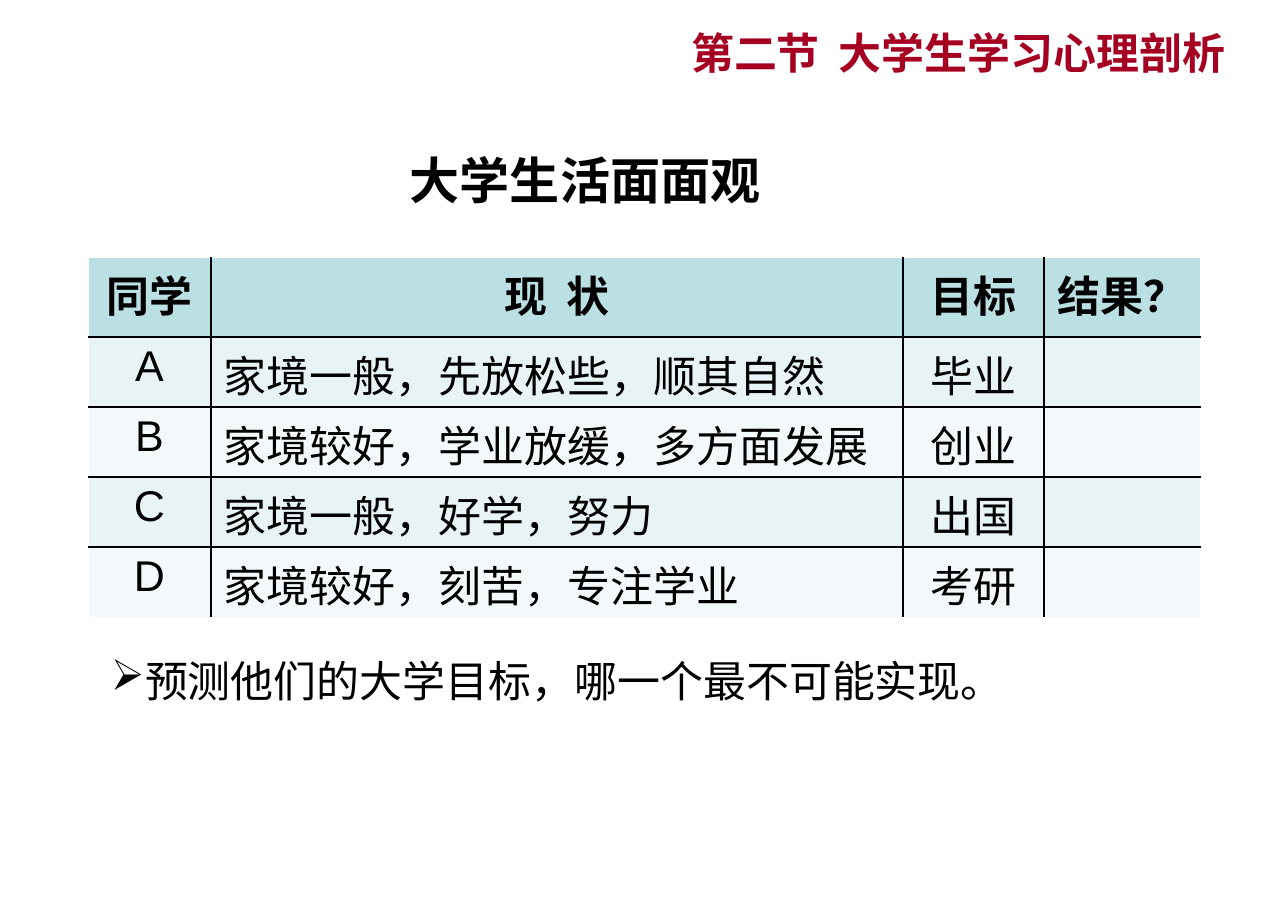
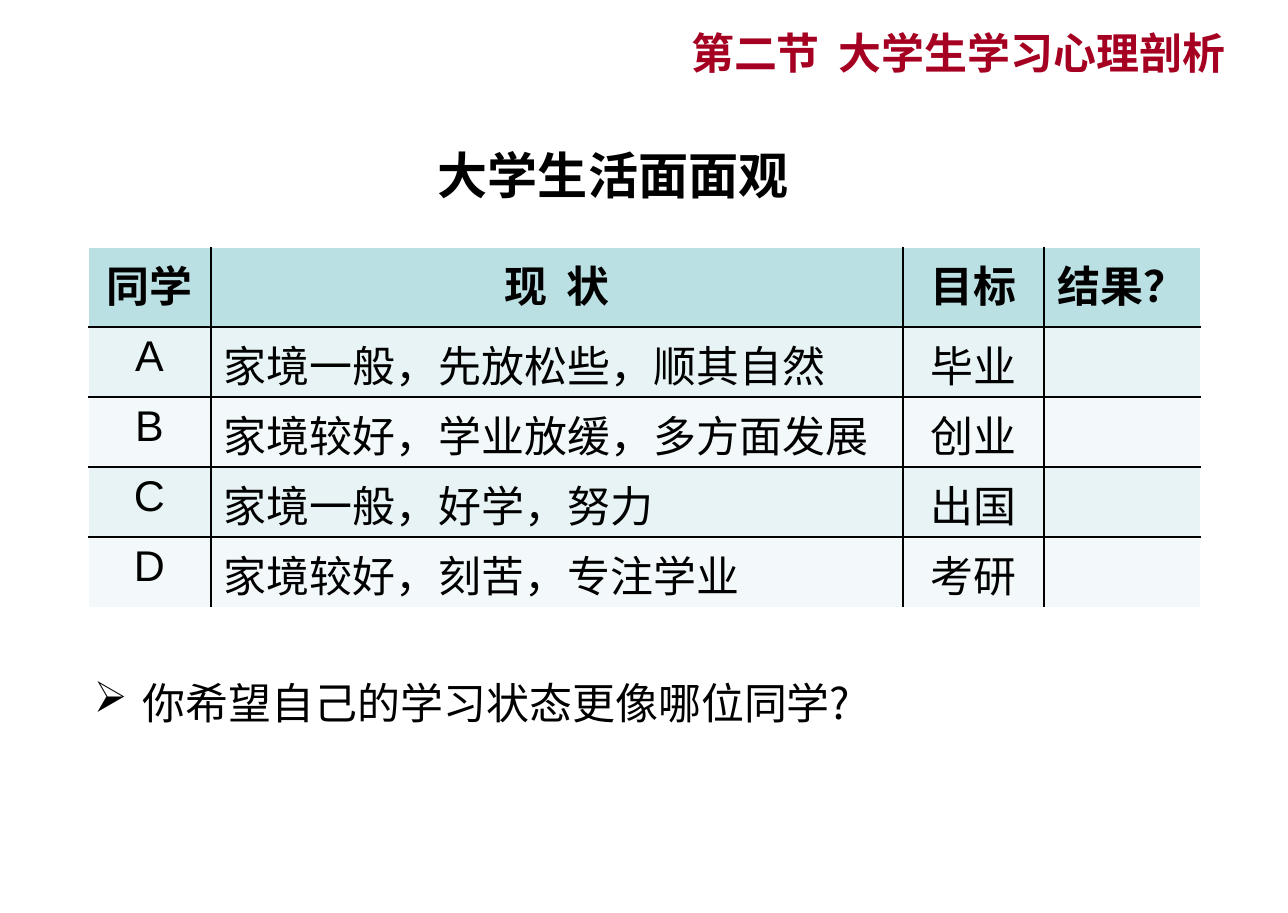
from dataclasses import dataclass

from lxml import etree
from pptx import Presentation
from pptx.dml.color import RGBColor
from pptx.enum.text import MSO_ANCHOR, MSO_AUTO_SIZE, PP_ALIGN
from pptx.oxml.ns import qn
from pptx.util import Pt

LEFT, MID, RIGHT = PP_ALIGN.LEFT, PP_ALIGN.CENTER, PP_ALIGN.RIGHT
TOP, CENTRE = MSO_ANCHOR.TOP, MSO_ANCHOR.MIDDLE
FIXED = MSO_AUTO_SIZE.NONE


@dataclass(frozen=True)
class Theme:
    ink: str = "000000"
    red: str = "A50021"
    edge: str = "FFFFFF"
    head: str = "BBE0E3"
    bands: tuple = ("E7F3F4", "F3F9FA")
    latin: str = "Arial"
    han: str = "Noto Sans CJK SC"
    body: int = 24
    topic: int = 28
    gap: int = 500
    thick: float = 1.08
    thin: float = 0.45


THEME = Theme()
SCALE = round(914400 / 128.8)
SIZE = (1288, 913)

TITLE = "第二节 大学生学习心理剖析"
TOPIC = "大学生活面面观"
ROWS = [
    ("同学", "现 状", "目标", "结果？"),
    ("A", "家境一般，先放松些，顺其自然", "毕业", ""),
    ("B", "家境较好，学业放缓，多方面发展", "创业", ""),
    ("C", "家境一般，好学，努力", "出国", ""),
    ("D", "家境较好，刻苦，专注学业", "考研", ""),
]
WIDTHS = (123, 692, 141, 157)
HEIGHTS = (80, 70, 70, 70, 70)
TABLE_X = 88
TITLE_BOX = (379, 18, 867, 68)
SLIDES = [
    {"topic": (397, 143, 397, 73), "table": 257, "ask": (98, 623, 1148, 90),
     "indent": 0, "text": "预测他们的大学目标，哪一个最不可能实现。"},
    {"topic": (425, 138, 397, 73), "table": 247, "ask": (81, 645, 1127, 90),
     "indent": 49, "text": "你希望自己的学习状态更像哪位同学?"},
]


def px(n):
    return n * SCALE


def write(par, text, size=THEME.body, bold=False, color=THEME.ink, face=THEME.latin):
    for bit in filter(None, text.partition(" ")):
        run = par.add_run()
        run.text = bit
        font = run.font
        font.size, font.bold, font.name = Pt(size), bold, face
        font.color.rgb = RGBColor.from_string(color)
        props = run._r.get_or_add_rPr()
        etree.SubElement(props, qn("a:ea")).set("typeface", THEME.han)
        if bit == " ":
            props.set("spc", str(THEME.gap))


def frame(shape, anchor=TOP, right=13):
    body = shape.text_frame
    body.word_wrap, body.auto_size = True, FIXED
    body.vertical_anchor = anchor
    body.margin_left, body.margin_right = px(13), px(right)
    body.margin_top = body.margin_bottom = px(6)
    return body.paragraphs[0]


def add_title(slide):
    shape = slide.shapes.title
    shape.left, shape.top, shape.width, shape.height = map(px, TITLE_BOX)
    par = frame(shape, CENTRE, 21)
    par.alignment = RIGHT
    write(par, TITLE, bold=True, color=THEME.red, face=THEME.han)


def add_box(slide, box):
    return frame(slide.shapes.add_textbox(*map(px, box)))


def add_ask(slide, box, indent, text):
    par = add_box(slide, box)
    props = par._p.get_or_add_pPr()
    props.set("marL", str(px(indent)))
    props.set("indent", str(-px(indent)))
    color = etree.SubElement(props, qn("a:buClr"))
    etree.SubElement(color, qn("a:srgbClr")).set("val", THEME.ink)
    etree.SubElement(props, qn("a:buChar")).set("char", "➢")
    par.line_spacing = 1.5
    write(par, text, face=THEME.han)


def add_edges(cell, outer):
    props = cell._tc.get_or_add_tcPr()
    for i, (side, out) in enumerate(zip("LRTB", outer)):
        line = etree.Element(qn("a:ln" + side))
        line.set("w", str(Pt(THEME.thin if out else THEME.thick)))
        fill = etree.SubElement(line, qn("a:solidFill"))
        color = etree.SubElement(fill, qn("a:srgbClr"))
        color.set("val", THEME.edge if out else THEME.ink)
        props.insert(i, line)


def add_grid(slide, top):
    box = (TABLE_X, top, sum(WIDTHS), sum(HEIGHTS))
    grid = slide.shapes.add_table(len(ROWS), len(WIDTHS), *map(px, box)).table
    grid.horz_banding = False
    for col, width in zip(grid.columns, WIDTHS):
        col.width = px(width)
    for r, (row, height) in enumerate(zip(ROWS, HEIGHTS)):
        grid.rows[r].height = px(height)
        shade = THEME.bands[(r - 1) % 2] if r else THEME.head
        for c, text in enumerate(row):
            cell = grid.cell(r, c)
            cell.margin_left = cell.margin_right = px(13)
            cell.margin_top, cell.margin_bottom = px(6), 0
            cell.fill.solid()
            cell.fill.fore_color.rgb = RGBColor.from_string(shade)
            add_edges(cell, (c == 0, c == len(row) - 1, r == 0, r == len(ROWS) - 1))
            par = cell.text_frame.paragraphs[0]
            par.alignment = LEFT if r and c == 1 else MID
            write(par, text, bold=r == 0)


def main():
    deck = Presentation()
    deck.slide_width, deck.slide_height = map(px, SIZE)
    for item in SLIDES:
        slide = deck.slides.add_slide(deck.slide_layouts[5])
        add_title(slide)
        write(add_box(slide, item["topic"]), TOPIC, THEME.topic, True)
        add_grid(slide, item["table"])
        add_ask(slide, item["ask"], item["indent"], item["text"])
    deck.save("out.pptx")


if __name__ == "__main__":
    main()
